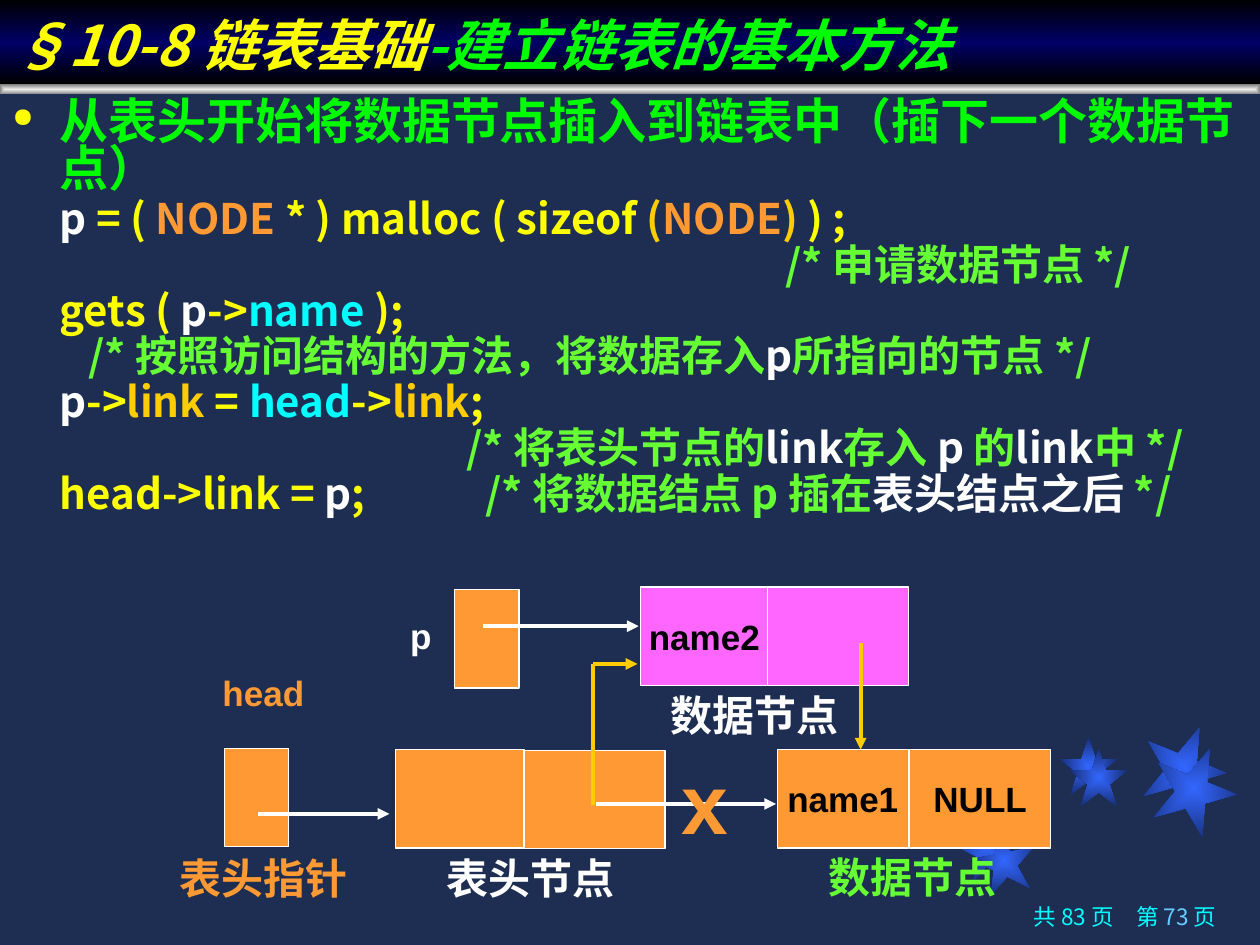
import pptx
import pptx.dml.color
import pptx.enum.shapes
import pptx.enum.text
import pptx.oxml
import pptx.oxml.ns
import pptx.util

Pt = pptx.util.Pt
RGB = pptx.dml.color.RGBColor
ALIGN = pptx.enum.text.PP_ALIGN
ANCHOR = pptx.enum.text.MSO_ANCHOR
FIT = pptx.enum.text.MSO_AUTO_SIZE
RECTANGLE = pptx.enum.shapes.MSO_SHAPE.RECTANGLE

NAVY = RGB(0x1E, 0x2E, 0x53)
BLACK = RGB(0, 0, 0)
WHITE = RGB(0xFF, 0xFF, 0xFF)
YELLOW = RGB(0xFF, 0xFF, 0)
GREEN = RGB(0, 0xFF, 0)
LIME = RGB(0x66, 0xFF, 0x33)
CYAN = RGB(0, 0xFF, 0xFF)
SKY = RGB(0x66, 0xCC, 0xFF)
ORANGE = RGB(0xFF, 0x99, 0x33)
GOLD = RGB(0xFF, 0xCC, 0)
PINK = RGB(0xFF, 0x66, 0xFF)
TITLE_BLUE = RGB(0, 0, 0x66)
STAR_BLUE = RGB(0x33, 0x66, 0xFF)
STAR_DARK = RGB(0x18, 0x2F, 0x76)
SILVER = RGB(0xED, 0xED, 0xED)
GREY = RGB(0x80, 0x80, 0x80)

CJK = "Noto Sans CJK SC"
HANGING = 27
CELL_HEIGHT = 56.2
LABEL_HEIGHT = 28.1
COMMENT_GAP = 63
DOWNWARD = '<a:lin ang="5400000" scaled="0"/>'
FROM_CENTRE = '<a:path path="rect"><a:fillToRect l="50000" t="50000" r="50000" b="50000"/></a:path>'
STAR_OUTLINE = [(0, 38), (38, 38), (50, 0), (62, 38), (100, 38),
                (69, 62), (81, 100), (50, 76), (19, 100), (31, 62)]

STARS = [(545.8, 465.8, 36, 349), (605.5, 421.2, 33.1, 0), (652.3, 414, 48.2, 22),
         (555.8, 473.8, 36, 349), (611.3, 427.7, 33.1, 0), (658.1, 426.2, 48.2, 22)]

CODE = [
    (0, [("p", WHITE), (" = ( ", YELLOW), ("NODE", ORANGE), (" * ) malloc ( sizeof ", YELLOW),
         ("(", GOLD), ("NODE", ORANGE), (")", GOLD), (" ) ;", YELLOW)]),
    (414.5, [("/* 申请数据节点 */", LIME)]),
    (0, [("gets ( ", YELLOW), ("p", WHITE), ("->", YELLOW), ("name", CYAN), (" );", YELLOW)]),
    (16.5, [("/* 按照访问结构的方法，将数据存入", LIME), ("p", WHITE), ("所指向的节点 */", LIME)]),
    (0, [("p", WHITE), ("->", YELLOW), ("link", GOLD), (" = ", YELLOW), ("head", CYAN),
         ("->", YELLOW), ("link", GOLD), (";", YELLOW)]),
    (232.5, [("/* 将表头节点的", LIME), ("link", WHITE), ("存入 ", LIME), ("p ", WHITE),
             ("的", LIME), ("link", WHITE), ("中 */", LIME)]),
    (0, [("head->link = ", YELLOW), ("p", WHITE), (";", YELLOW), (" ", YELLOW),
         ("/* 将数据结点 p 插在", LIME), ("表头结点之后 ", WHITE), ("*/", LIME)]),
]

CELLS = [
    (259.9, 337, 36.7, ORANGE, ""),
    (128.2, 427.7, 36.7, ORANGE, ""),
    (226.1, 428.4, 73.4, ORANGE, ""),
    (299.5, 428.8, 80.6, ORANGE, ""),
    (444.2, 428.4, 74.9, ORANGE, "name1"),
    (519.8, 428.4, 80.6, ORANGE, "NULL"),
    (365.8, 335.5, 73.4, PINK, "name2"),
    (438.5, 335.5, 80.6, PINK, ""),
]

POINTERS = [
    (147.6, 465.1, 222.5, 465.1, WHITE, True),
    (340.6, 459.4, 443.5, 459.4, WHITE, True),
    (275.8, 357.8, 365, 357.8, WHITE, True),
    (339.1, 460.1, 339.1, 379.4, GOLD, False),
    (339.1, 379.4, 364.3, 379.4, GOLD, True),
    (491.8, 367.2, 491.8, 428.4, GOLD, True),
]

LABELS = [
    ("p", 240.5, 363.2, 41.8, 20, WHITE),
    ("head", 150.5, 395.6, 106.6, 20, ORANGE),
    ("表头指针", 150.5, 501.5, 106.6, 24, ORANGE),
    ("表头节点", 303.1, 501.5, 106.6, 24, WHITE),
    ("数据节点", 521.3, 500.8, 106.6, 24, LIME),
    ("数据节点", 431.3, 408.6, 106.6, 24, WHITE),
    ("x", 402.8, 457.9, 40, 48, ORANGE),
]


def add_xml(parent, xml):
    """Append a DrawingML fragment to an element."""
    wrapper = pptx.oxml.parse_xml(f'<a:wrap {pptx.oxml.ns.nsdecls("a")}>{xml}</a:wrap>')
    parent.append(wrapper[0])


def write(paragraph, pieces, size, font=CJK, bold=True, italic=False, align=ALIGN.LEFT,
          spacing=1.0, before=0):
    """Fill a paragraph with coloured pieces of text in one format."""
    paragraph.alignment = align
    paragraph.line_spacing = spacing
    paragraph.space_before = Pt(before)
    for words, color in pieces:
        run = paragraph.add_run()
        run.text = words
        run.font.size = Pt(size)
        run.font.name = font
        run.font.bold = bold
        run.font.italic = italic
        run.font.color.rgb = color
        add_xml(run.font._element, f'<a:ea typeface="{CJK}"/>')
        if words == " ":
            run.font._element.set("spc", str(COMMENT_GAP * 100))


def fill_gradient(shape, colors, direction):
    """Fill a shape with evenly spaced colour stops and no outline."""
    shape.fill.gradient()
    gradient = shape.element.spPr.find(pptx.oxml.ns.qn("a:gradFill"))
    for child in list(gradient):
        gradient.remove(child)
    stops = "".join(
        f'<a:gs pos="{100000 * i // (len(colors) - 1)}"><a:srgbClr val="{color}"/></a:gs>'
        for i, color in enumerate(colors))
    add_xml(gradient, f"<a:gsLst>{stops}</a:gsLst>")
    add_xml(gradient, direction)
    shape.line.fill.background()


def add_star(shapes, left, top, size, rotation):
    """Draw one five-pointed background star."""
    outline = shapes.build_freeform(*STAR_OUTLINE[0], scale=Pt(size) / 100)
    outline.add_line_segments(STAR_OUTLINE[1:], close=True)
    star = outline.convert_to_shape(Pt(left), Pt(top))
    star.rotation = rotation
    star.shadow.inherit = False
    fill_gradient(star, [STAR_BLUE, STAR_DARK], FROM_CENTRE)


def add_rectangle(shapes, left, top, width, height):
    """Add a rectangle without a shadow."""
    rectangle = shapes.add_shape(RECTANGLE, Pt(left), Pt(top), Pt(width), Pt(height))
    rectangle.shadow.inherit = False
    return rectangle


def add_cell(shapes, left, top, width, color, name):
    """Draw one memory cell of the linked list."""
    cell = add_rectangle(shapes, left, top, width, CELL_HEIGHT)
    cell.fill.solid()
    cell.fill.fore_color.rgb = color
    cell.line.color.rgb = WHITE
    cell.line.width = Pt(0.75)
    if name:
        cell.text_frame.word_wrap = False
        cell.text_frame.vertical_anchor = ANCHOR.MIDDLE
        write(cell.text_frame.paragraphs[0], [(name, BLACK)], 20, "Arial", align=ALIGN.CENTER)


def add_pointer(shapes, x1, y1, x2, y2, color, arrow):
    """Draw a link between cells, with an arrowhead if asked."""
    pointer = shapes.add_connector(pptx.enum.shapes.MSO_CONNECTOR.STRAIGHT,
                                   Pt(x1), Pt(y1), Pt(x2), Pt(y2))
    pointer.line.color.rgb = color
    pointer.line.width = Pt(2.25)
    if arrow:
        add_xml(pointer.line._get_or_add_ln(), '<a:tailEnd type="triangle"/>')
    add_xml(pointer.element.spPr, "<a:effectLst/>")


def add_text_frame(shapes, left, top, width, height, wrap=True):
    """Add a text box and return its frame."""
    frame = shapes.add_textbox(Pt(left), Pt(top), Pt(width), Pt(height)).text_frame
    frame.word_wrap = wrap
    return frame


def add_label(shapes, words, x, y, width, size, color):
    """Centre a one-line label on a point."""
    frame = add_text_frame(shapes, x - width / 2, y - LABEL_HEIGHT / 2, width, LABEL_HEIGHT, False)
    frame.margin_left = frame.margin_right = Pt(0)
    frame.vertical_anchor = ANCHOR.MIDDLE
    write(frame.paragraphs[0], [(words, color)], size, "Arial", align=ALIGN.CENTER)


def set_indent(paragraph, first_line):
    """Set the left margin and first-line indent, and return the properties."""
    properties = paragraph._p.get_or_add_pPr()
    properties.set("marL", str(Pt(HANGING)))
    properties.set("indent", str(Pt(first_line)))
    return properties


def add_steps(shapes):
    """Write the heading bullet and the commented code."""
    frame = add_text_frame(shapes, 0, 54.7, 720, 269.3)
    frame.auto_size = FIT.TEXT_TO_FIT_SHAPE
    heading = frame.paragraphs[0]
    write(heading, [("从表头开始将数据节点插入到链表中（插下一个数据节点）", GREEN)], 28, spacing=0.8)
    properties = set_indent(heading, -HANGING)
    for xml in (f'<a:buClr><a:srgbClr val="{YELLOW}"/></a:buClr>', '<a:buSzPct val="55000"/>',
                '<a:buChar char="●"/>'):
        add_xml(properties, xml)
    for first_line, pieces in CODE:
        line = frame.add_paragraph()
        write(line, pieces, 24, spacing=0.7, before=6)
        set_indent(line, first_line)


def format_title(title):
    """Place and fill the title bar."""
    title.left, title.top, title.width, title.height = Pt(0), Pt(0), Pt(720), Pt(48.2)
    fill_gradient(title, [BLACK, TITLE_BLUE, BLACK], DOWNWARD)
    title.text_frame.auto_size = FIT.NONE
    title.text_frame.vertical_anchor = ANCHOR.BOTTOM
    write(title.text_frame.paragraphs[0],
          [("§10-8 链表基础", YELLOW), ("-建立链表的基本方法", GREEN)], 32, italic=True)


def main():
    """Build the linked-list slide."""
    deck = pptx.Presentation()
    deck.slide_width, deck.slide_height = Pt(720), Pt(540)
    slide = deck.slides.add_slide(deck.slide_layouts[5])
    slide.background.fill.solid()
    slide.background.fill.fore_color.rgb = NAVY
    shapes = slide.shapes
    format_title(shapes.title)
    for star in STARS:
        add_star(shapes, *star)
    fill_gradient(add_rectangle(shapes, 0, 48.2, 720, 5.8), [SILVER, GREY], FROM_CENTRE)
    add_steps(shapes)
    for draw, items in ((add_cell, CELLS), (add_pointer, POINTERS), (add_label, LABELS)):
        for item in items:
            draw(shapes, *item)
    page = add_text_frame(shapes, 512.6, 514.1, 189.4, 25.9)
    write(page.paragraphs[0], [("共 83 页　第 ", CYAN), ("73 ", SKY), ("页", CYAN)], 12.9,
          bold=False, align=ALIGN.RIGHT, spacing=0.9)
    deck.save("out.pptx")


if __name__ == "__main__":
    main()
